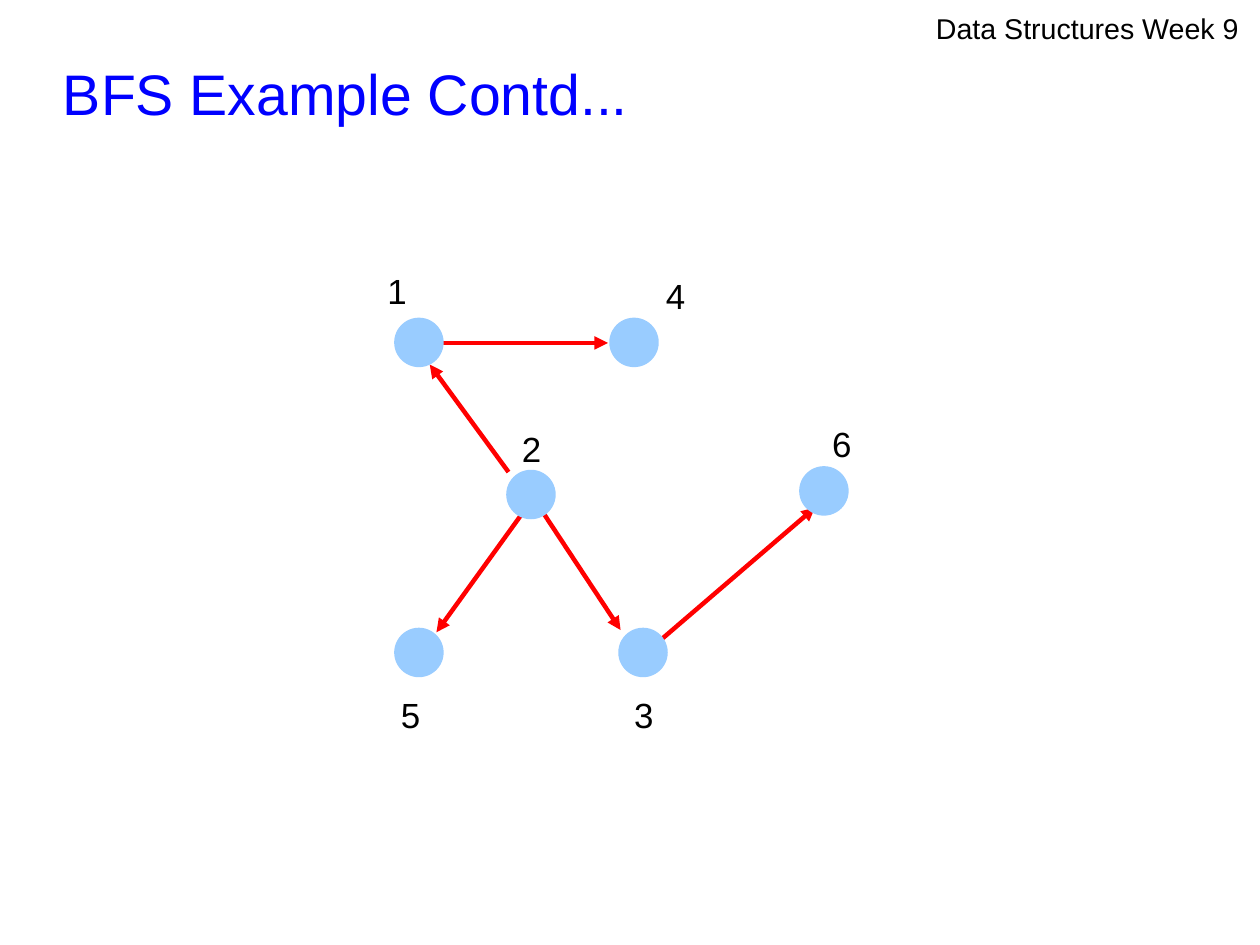
from lxml.etree import SubElement
from pptx import Presentation
from pptx.dml.color import RGBColor
from pptx.enum.shapes import MSO_CONNECTOR, MSO_SHAPE
from pptx.enum.text import MSO_ANCHOR, MSO_AUTO_SIZE, PP_ALIGN
from pptx.oxml.ns import qn
from pptx.util import Cm, Pt


def color(hex_value):
    return RGBColor.from_string(hex_value)


def write(shape, text, size, hex_value, spacing=1.0, margin_x=0, margin_y=0):
    frame = shape.text_frame
    frame.word_wrap = True
    frame.auto_size = MSO_AUTO_SIZE.NONE
    frame.margin_left = frame.margin_right = Cm(margin_x)
    frame.margin_top = frame.margin_bottom = Cm(margin_y)
    paragraph = frame.paragraphs[0]
    paragraph.alignment = PP_ALIGN.LEFT
    paragraph.line_spacing = spacing
    run = paragraph.add_run()
    run.text = text
    run.font.name = "Arial"
    run.font.size = Pt(size)
    run.font.color.rgb = color(hex_value)


presentation = Presentation()
presentation.slide_width = Cm(28)
presentation.slide_height = Cm(21)
slide = presentation.slides.add_slide(presentation.slide_layouts[5])
shapes = slide.shapes

# Title and course header
title = shapes.title
title.left, title.top, title.width, title.height = Cm(1.4), Cm(0.84), Cm(25.12), Cm(2.08)
write(title, "BFS Example Contd...", 36, "0000FF", spacing=1.24)
title.text_frame.vertical_anchor = MSO_ANCHOR.MIDDLE

course = shapes.add_textbox(Cm(20.8), Cm(0.25), Cm(6.9), Cm(0.84))
write(course, "Data Structures Week 9", 18, "000000")

# Tree edges, each from parent to child (cm)
edges = [
    (12.01, 10.85, 9.7, 14.05),    # 2 to 5
    (11.81, 11.0, 13.79, 14.0),    # 2 to 3
    (14.3, 14.55, 18.11, 11.28),   # 3 to 6
    (9.47, 7.62, 13.51, 7.62),     # 1 to 4
    (11.3, 10.49, 9.55, 8.1),      # 2 to 1
]
for ends in edges:
    edge = shapes.add_connector(MSO_CONNECTOR.STRAIGHT, *map(Cm, ends))
    edge.line.color.rgb = color("FF0000")
    edge.line.width = Pt(2.83)
    SubElement(edge.line._get_or_add_ln(), qn("a:tailEnd"), type="triangle")
    SubElement(edge._element.spPr, qn("a:effectLst"))

# Vertices: label, circle corner, label corner (cm)
vertices = [
    ("1", 8.81, 7.11, 8.31, 5.59),
    ("2", 11.3, 10.49, 11.3, 9.09),
    ("3", 13.79, 14.0, 13.79, 15.01),
    ("4", 13.59, 7.11, 14.5, 5.69),
    ("5", 8.81, 14.0, 8.61, 15.01),
    ("6", 17.81, 10.41, 18.19, 8.99),
]
for number, x, y, label_x, label_y in vertices:
    vertex = shapes.add_shape(MSO_SHAPE.OVAL, Cm(x), Cm(y), Cm(1), Cm(1))
    vertex.shadow.inherit = False
    vertex.fill.solid()
    vertex.fill.fore_color.rgb = color("99CCFF")
    vertex.line.color.rgb = color("99CCFF")
    vertex.line.width = Pt(2.83)

    label = shapes.add_textbox(Cm(label_x), Cm(label_y), Cm(1.5), Cm(1.5))
    write(label, number, 22, "000000", spacing=1.24, margin_x=0.3, margin_y=0.18)

presentation.save("out.pptx")
